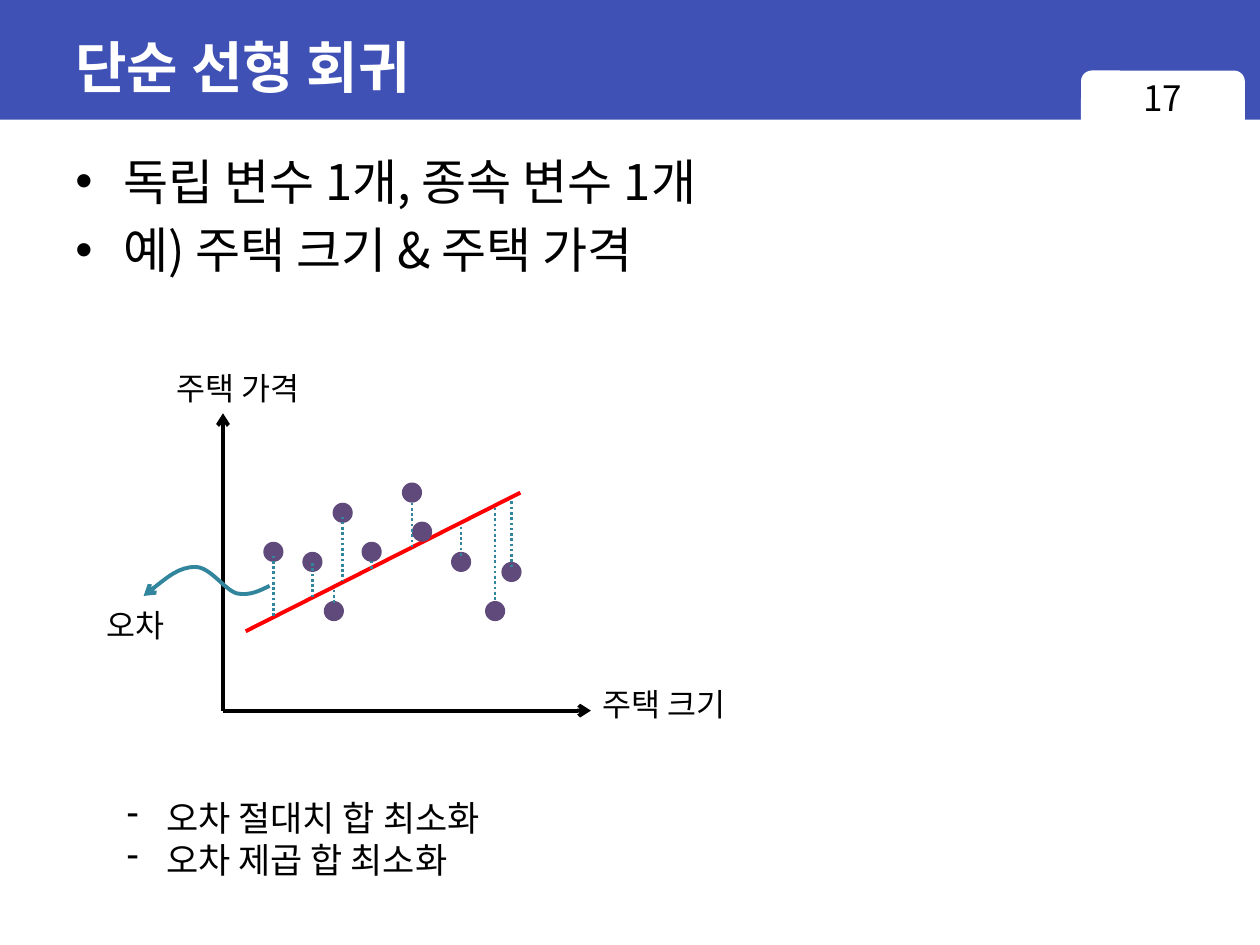
import pptx
import pptx.util
import pptx.dml.color
import pptx.enum.dml
import pptx.enum.shapes
import pptx.enum.text
import pptx.oxml
import pptx.oxml.ns
import lxml.etree

Inches = pptx.util.Inches
Pt = pptx.util.Pt
qn = pptx.oxml.ns.qn
SHAPE = pptx.enum.shapes.MSO_SHAPE
ANCHOR = pptx.enum.text.MSO_ANCHOR
ALIGN = pptx.enum.text.PP_ALIGN
BODY_FONT = "Noto Sans CJK KR"
BLUE, WHITE, BLACK, RED = "3F51B5", "FFFFFF", "000000", "FF0000"
PURPLE, TEAL = "604A7B", "31859C"


def color(value):
    return pptx.dml.color.RGBColor.from_string(value)


def add_block(page, box, kind, fill):
    shape = page.shapes.add_shape(kind, *map(Inches, box))
    shape.shadow.inherit = False
    shape.fill.solid()
    shape.fill.fore_color.rgb = color(fill)
    shape.line.fill.background()
    return shape


def set_bullet(para, mark, indent):
    properties = para._p.get_or_add_pPr()
    properties.set("marL", str(Inches(indent)))
    properties.set("indent", str(-Inches(indent)))
    if mark == "•":
        lxml.etree.SubElement(properties, qn("a:buFont"), typeface="Arial")
    lxml.etree.SubElement(properties, qn("a:buChar"), char=mark)


def add_text(page, box, lines, size, font=BODY_FONT, ink=BLACK, bold=False, wrap=True,
             anchor=ANCHOR.TOP, align=ALIGN.LEFT, bullet=None, indent=0, gap=0):
    frame = page.shapes.add_textbox(*map(Inches, box)).text_frame
    frame.word_wrap = wrap
    frame.vertical_anchor = anchor
    for number, line in enumerate(lines):
        para = frame.add_paragraph() if number else frame.paragraphs[0]
        para.alignment = align
        if number and gap:
            para.space_before = Pt(gap)
        if bullet:
            set_bullet(para, bullet, indent)
        span = para.add_run()
        span.text = line
        span.font.size = Pt(size)
        span.font.bold = bold
        span.font.name = font
        span.font.color.rgb = color(ink)
        lxml.etree.SubElement(span._r.get_or_add_rPr(), qn("a:ea"), typeface=BODY_FONT)


def style_line(line, ink, width, arrow=False):
    line.color.rgb = color(ink)
    line.width = Pt(width)
    if arrow:
        lxml.etree.SubElement(line._get_or_add_ln(), qn("a:tailEnd"), type="arrow")


def add_line(page, start, end, ink, width=2.25, arrow=False, dotted=False):
    connector = page.shapes.add_connector(
        pptx.enum.shapes.MSO_CONNECTOR.STRAIGHT, *map(Inches, (*start, *end)))
    style_line(connector.line, ink, width, arrow)
    if dotted:
        connector.line.dash_style = pptx.enum.dml.MSO_LINE.ROUND_DOT
    lxml.etree.SubElement(connector._element.spPr, qn("a:effectLst"))


def add_curve(page, start, curves):
    """Draw an arrow of Bezier curves, each given as two controls and an end."""
    unit = 100
    ends = [curve[-1] for curve in curves]
    left = min(x for x, y in [start, *ends])
    top = min(y for x, y in [start, *ends])
    builder = page.shapes.build_freeform(
        round(start[0] * unit), round(start[1] * unit), scale=Inches(1) / unit)
    builder.add_line_segments([(round(x * unit), round(y * unit)) for x, y in ends], close=False)
    shape = builder.convert_to_shape()
    for segment, curve in zip(list(shape._element.iter(qn("a:lnTo"))), curves):
        bezier = lxml.etree.Element(qn("a:cubicBezTo"))
        for x, y in curve:
            lxml.etree.SubElement(bezier, qn("a:pt"), x=str(round((x - left) * unit)),
                                  y=str(round((y - top) * unit)))
        segment.getparent().replace(segment, bezier)
    shape.shadow.inherit = False
    shape.fill.background()
    style_line(shape.line, TEAL, 2.25, arrow=True)


def add_header(page, box, title, number):
    left, top, width, height = box
    add_block(page, box, SHAPE.RECTANGLE, BLUE)
    tab = (left + width - 1.42, top + 0.56, 1.3, 0.51)
    add_block(page, tab, SHAPE.ROUNDED_RECTANGLE, WHITE)
    add_text(page, (left + 0.5, top + 0.11, width - 1, 0.83), [title], 32,
             font="Arial", ink=WHITE, bold=True, anchor=ANCHOR.MIDDLE)
    add_text(page, tab, [number], 20, align=ALIGN.CENTER)


def add_regression_plot(page, box):
    """Draw axes, fitted line, data points and their errors from the box's corner."""
    left, top, width, height = box
    bottom = top + height

    def place(x, y):
        return left + x, top + y

    origin = (left, bottom)
    add_line(page, origin, (left + width, bottom), BLACK, arrow=True)
    add_line(page, origin, (left, top), BLACK, arrow=True)
    add_text(page, (*place(2.91, 2.11), 1.3, 0.4), ["주택 크기"], 18, wrap=False)
    add_text(page, (*place(-0.47, -0.4), 1.3, 0.4), ["주택 가격"], 18, wrap=False)
    add_line(page, place(0.18, 1.73), place(2.36, 0.63), RED)

    # Centre of each point, then the top and bottom of its error line.
    points = [
        (0.40, 1.10, (1.13, 1.61)), (0.71, 1.18, (1.19, 1.47)),
        (0.88, 1.57, (1.40, 1.52)), (0.95, 0.79, (0.82, 1.33)),
        (1.18, 1.10, (1.17, 1.25)), (1.50, 0.63, (0.71, 1.07)),
        (1.58, 0.94, None), (1.89, 1.18, (0.90, 1.14)),
        (2.29, 1.26, (0.70, 1.22)), (2.16, 1.57, (0.75, 1.50)),
    ]
    size = 0.16
    for x, y, error in points:
        add_block(page, (*place(x - size / 2, y - size / 2), size, size), SHAPE.OVAL, PURPLE)
    for x, y, error in points:
        if error:
            add_line(page, place(x, error[0]), place(x, error[1]), TEAL, 1.5, dotted=True)

    curves = [
        [(0.29, 1.41), (0.21, 1.45), (0.11, 1.43)],
        [(0.01, 1.40), (-0.10, 1.22), (-0.22, 1.22)],
        [(-0.35, 1.22), (-0.49, 1.34), (-0.63, 1.45)],
    ]
    add_curve(page, place(0.37, 1.37),
              [[place(*point) for point in curve] for curve in curves])
    add_text(page, (*place(-1.02, 1.48), 0.71, 0.4), ["오차"], 18, wrap=False)


def main():
    deck = pptx.Presentation()
    deck.slide_width, deck.slide_height = Inches(10), Inches(7.5)
    page = deck.slides.add_slide(deck.slide_layouts[6])
    add_header(page, (0, 0, 10, 0.95), "단순 선형 회귀", "17")
    add_text(page, (0.5, 1.15, 9.38, 6.14),
             ["독립 변수 1개, 종속 변수 1개", "예) 주택 크기 & 주택 가격"], 28,
             bullet="•", indent=0.38, gap=5.6)
    add_regression_plot(page, (1.77, 3.28, 2.92, 2.36))
    add_text(page, (0.91, 6.27, 3.34, 0.77), ["오차 절대치 합 최소화", "오차 제곱 합 최소화"], 20,
             wrap=False, bullet="-", indent=0.31)
    deck.save("out.pptx")


if __name__ == "__main__":
    main()
